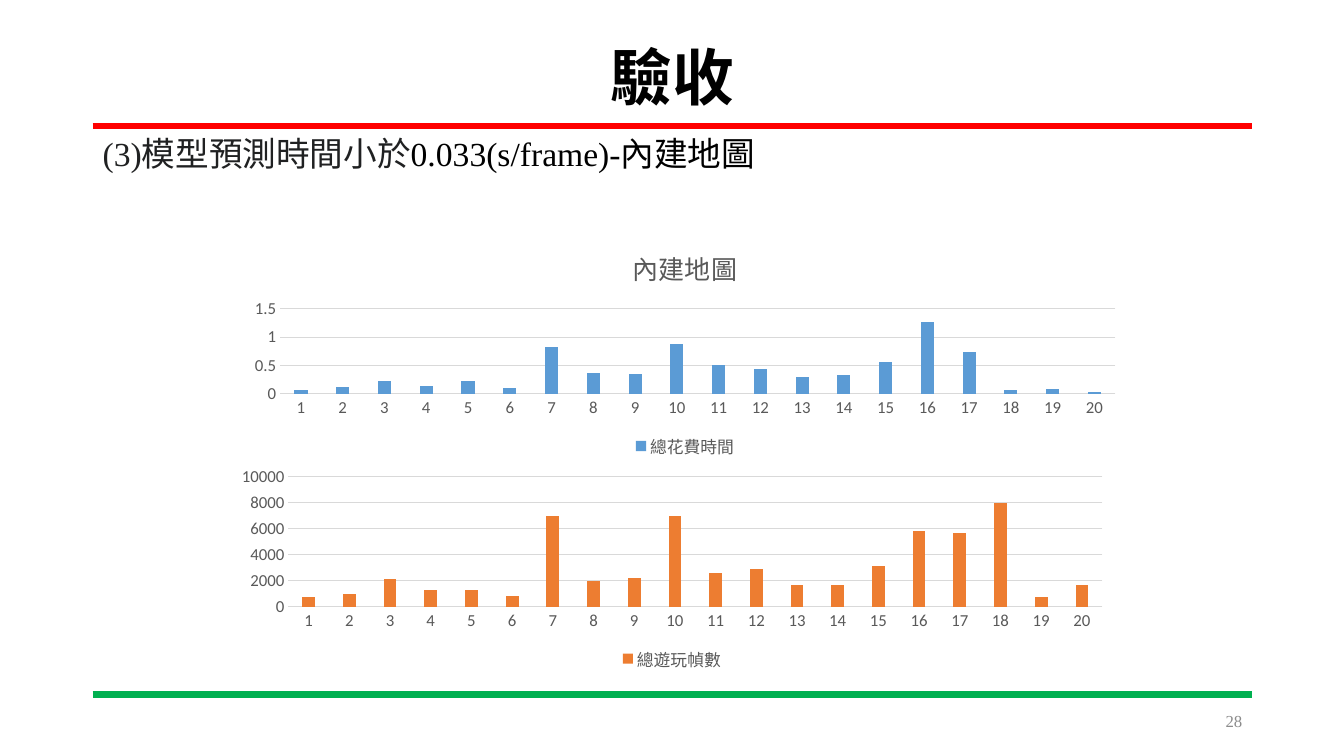
import pptx
import pptx.chart.data
import pptx.dml.color
import pptx.enum.chart
import pptx.enum.shapes
import pptx.enum.text
import pptx.util
from lxml import etree
from pptx.util import Inches

# Content
TITLE = "驗收"
STATEMENT = [("(3)模型預測時間小於", "202122"), ("0.033(s/frame)-內建地圖", "000000")]
PAGE_NUMBER = "28"
RULES = [(1.25, "FF0000"), (6.89, "00B050")]
CHARTS = [
    {"title": "內建地圖", "series": "總花費時間", "color": "5B9BD5",
     "box": (2.35, 2.29, 8.89, 2.3), "maximum": 1.5, "step": 0.5,
     "values": [0.07, 0.12, 0.23, 0.13, 0.23, 0.09, 0.83, 0.37, 0.35, 0.87,
                0.5, 0.44, 0.3, 0.32, 0.55, 1.26, 0.73, 0.07, 0.08, 0.02]},
    {"title": None, "series": "總遊玩幀數", "color": "ED7D31",
     "box": (2.22, 4.59, 8.89, 2.11), "maximum": 10000, "step": 2000,
     "values": [700, 1000, 2100, 1300, 1300, 800, 7000, 2000, 2200, 7000,
                2600, 2900, 1700, 1700, 3100, 5800, 5700, 8000, 700, 1700]},
]
LEFT, WIDTH = 0.92, 11.5
SERIF, SANS, CHINESE = "Times New Roman", "Calibri", "Noto Sans CJK SC"
GRAY, GRID = "595959", "D9D9D9"


def rgb(value):
    return pptx.dml.color.RGBColor.from_string(value)


def format_font(font, name, size, color, bold=False):
    values = {"name": name, "size": pptx.util.Pt(size), "bold": bold}
    for attribute, value in values.items():
        setattr(font, attribute, value)
    font.color.rgb = rgb(color)


def format_line(line, color, width):
    line.color.rgb = rgb(color)
    line.width = pptx.util.Pt(width)


def place(shape, left, top, width, height):
    box = {"left": left, "top": top, "width": width, "height": height}
    for attribute, value in box.items():
        setattr(shape, attribute, Inches(value))


def write(shape, runs, size, alignment, anchor, bold=False, line_spacing=None):
    frame = shape.text_frame
    frame.word_wrap = True
    frame.vertical_anchor = anchor
    paragraph = frame.paragraphs[0]
    paragraph.alignment = alignment
    paragraph.line_spacing = line_spacing
    for text, color in runs:
        run = paragraph.add_run()
        run.text = text
        format_font(run.font, SERIF, size, color, bold)


def add_rule(slide, top, color):
    rule = slide.shapes.add_connector(
        pptx.enum.shapes.MSO_CONNECTOR.STRAIGHT,
        Inches(LEFT), Inches(top), Inches(LEFT + WIDTH), Inches(top))
    format_line(rule.line, color, 4.5)
    properties = rule.element.spPr
    etree.SubElement(properties, pptx.oxml.ns.qn("a:effectLst"))


def add_column_chart(slide, content):
    values = content["values"]
    data = pptx.chart.data.CategoryChartData()
    data.categories = [str(number) for number in range(1, len(values) + 1)]
    data.add_series(content["series"], values)
    chart = slide.shapes.add_chart(
        pptx.enum.chart.XL_CHART_TYPE.COLUMN_CLUSTERED,
        *map(Inches, content["box"]), data).chart
    format_font(chart.font, SANS, 10, "000000")

    # Title and legend
    chart.has_title = content["title"] is not None
    if chart.has_title:
        paragraph = chart.chart_title.text_frame.paragraphs[0]
        run = paragraph.add_run()
        run.text = content["title"]
        format_font(run.font, CHINESE, 18.6, GRAY)
    chart.has_legend = True
    chart.legend.position = pptx.enum.chart.XL_LEGEND_POSITION.BOTTOM
    chart.legend.include_in_layout = False
    format_font(chart.legend.font, SANS, 12, GRAY)

    # Axes
    for axis in (chart.category_axis, chart.value_axis):
        axis.major_tick_mark = pptx.enum.chart.XL_TICK_MARK.NONE
        axis.minor_tick_mark = pptx.enum.chart.XL_TICK_MARK.NONE
        format_font(axis.tick_labels.font, SANS, 12, GRAY)
    format_line(chart.category_axis.format.line, GRID, 0.75)
    value_axis = chart.value_axis
    value_axis.minimum_scale = 0
    value_axis.maximum_scale = content["maximum"]
    value_axis.major_unit = content["step"]
    value_axis.format.line.fill.background()
    format_line(value_axis.major_gridlines.format.line, GRID, 0.75)

    # Columns
    plot = chart.plots[0]
    for attribute, value in {"gap_width": 219, "overlap": -27,
                             "vary_by_categories": False}.items():
        setattr(plot, attribute, value)
    fill = plot.series[0].format.fill
    fill.solid()
    fill.fore_color.rgb = rgb(content["color"])


def main():
    presentation = pptx.Presentation()
    presentation.slide_width = Inches(13.33)
    presentation.slide_height = Inches(7.5)
    slide = presentation.slides.add_slide(presentation.slide_layouts[5])
    align = pptx.enum.text.PP_ALIGN
    anchor = pptx.enum.text.MSO_ANCHOR

    for top, color in RULES:
        add_rule(slide, top, color)

    # Title, statement and page number
    title = slide.shapes.title
    place(title, LEFT, 0.4, WIDTH, 0.79)
    write(title, [(TITLE, "000000")], 44, align.CENTER, anchor.MIDDLE, True, 0.9)
    statement = slide.shapes.add_textbox(0, 0, 0, 0)
    place(statement, LEFT, 1.31, WIDTH, 5.51)
    write(statement, STATEMENT, 24, align.LEFT, anchor.TOP, line_spacing=0.9)
    number = slide.shapes.add_textbox(0, 0, 0, 0)
    place(number, 9.42, 6.95, 3, 0.4)
    write(number, [(PAGE_NUMBER, "8C8C8C")], 12, align.RIGHT, anchor.MIDDLE)

    for content in CHARTS:
        add_column_chart(slide, content)
    presentation.save("out.pptx")


if __name__ == "__main__":
    main()
